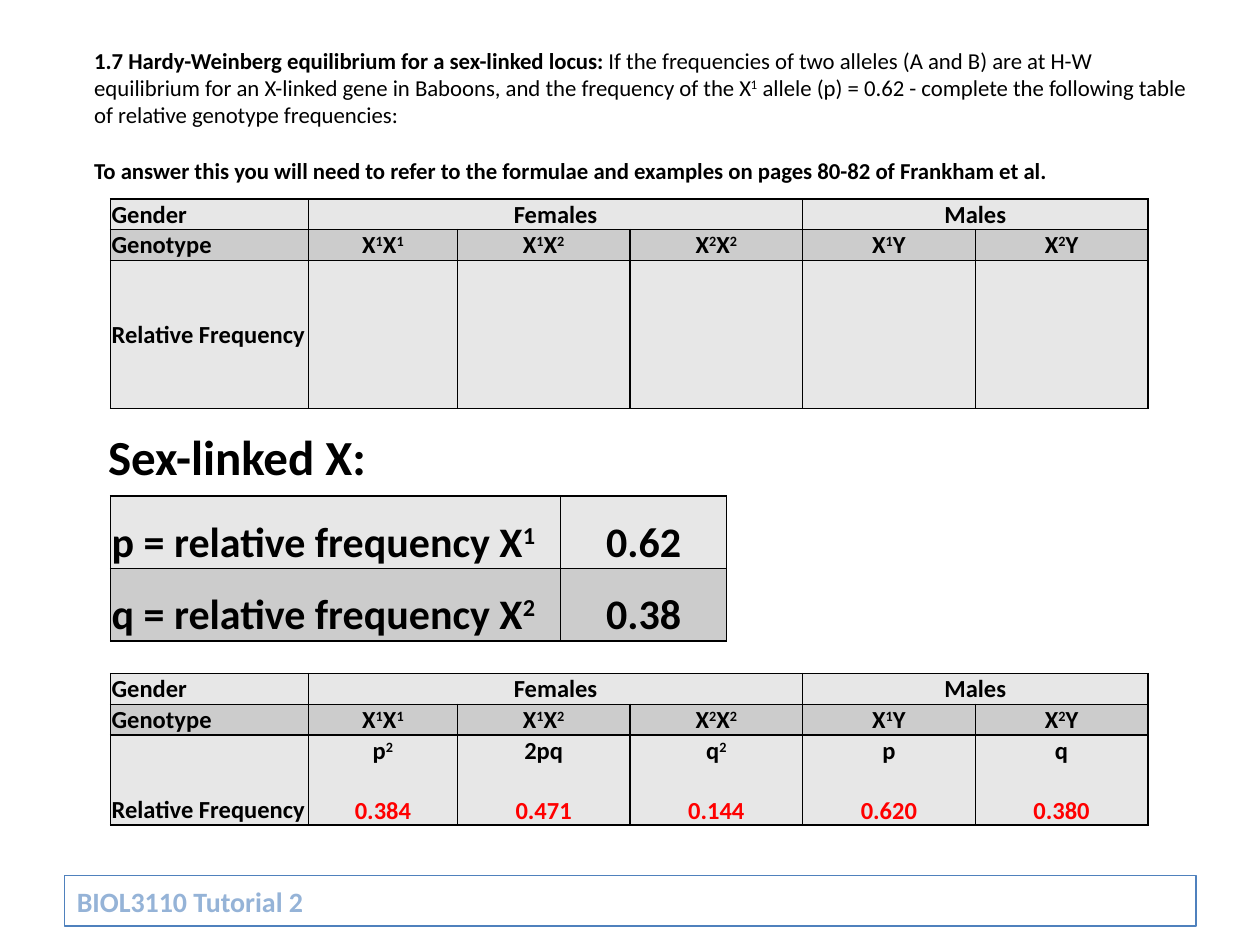
from lxml import etree
from pptx import Presentation
from pptx.dml.color import RGBColor
from pptx.enum.shapes import MSO_SHAPE
from pptx.enum.text import MSO_ANCHOR, PP_ALIGN
from pptx.oxml.ns import qn
from pptx.util import Cm, Pt

LEFT, CENTER = PP_ALIGN.LEFT, PP_ALIGN.CENTER
MIDDLE, BOTTOM = MSO_ANCHOR.MIDDLE, MSO_ANCHOR.BOTTOM
RECTANGLE = MSO_SHAPE.RECTANGLE

BLACK = RGBColor(0x00, 0x00, 0x00)
WHITE = RGBColor(0xFF, 0xFF, 0xFF)
RED = RGBColor(0xFF, 0x00, 0x00)
BLUE = RGBColor(0x4F, 0x81, 0xBD)
PALE_BLUE = RGBColor(0x95, 0xB3, 0xD7)
BANDS = (RGBColor(0xE7, 0xE7, 0xE7), RGBColor(0xCC, 0xCC, 0xCC))
FONT = "Calibri"

# Content: "^" raises the character that follows it
QUESTION = [
    ("1.7 Hardy-Weinberg equilibrium for a sex-linked locus:", True),
    (" If the frequencies of two alleles (A and B) are at H-W equilibrium for an "
     "X-linked gene in Baboons, and the frequency of the X^1 allele (p) = 0.62 - "
     "complete the following table of relative genotype frequencies:", False),
]
HINT = ("To answer this you will need to refer to the formulae and examples "
        "on pages 80-82 of Frankham et al.")
HEADING = "Sex-linked X:"
FOOTER = "BIOL3110 Tutorial 2"

HEADER_ROWS = [
    ["Gender", "Females", "", "", "Males", ""],
    ["Genotype", "X^1X^1", "X^1X^2", "X^2X^2", "X^1Y", "X^2Y"],
]
HEADER_SPANS = [(1, 3), (4, 5)]
FREQUENCY = "Relative Frequency"
FORMULAE = ["p^2", "2pq", "q^2", "p", "q"]
RESULTS = ["0.384", "0.471", "0.144", "0.620", "0.380"]
ALLELES = [
    ["p = relative frequency X^1", "0.62"],
    ["q = relative frequency X^2", "0.38"],
]

# Layout in centimetres
TABLE_LEFT = 2.23
GENOTYPE_COLUMNS = [3.99, 3.0] + [3.48] * 4
HEADER_HEIGHT = 0.62


def write(paragraph, text, size, color=BLACK, bold=True):
    for i, part in enumerate(text.split("^")):
        pieces = [(part, False)] if i == 0 else [(part[0], True), (part[1:], False)]
        for piece, raised in pieces:
            if not piece:
                continue
            run = paragraph.add_run()
            run.text = piece
            run.font.name, run.font.size, run.font.bold = FONT, Pt(size), bold
            run.font.color.rgb = color
            if raised:
                run._r.get_or_add_rPr().set("baseline", "30000")


def add_text_box(slide, left, top, width, height):
    box = slide.shapes.add_textbox(Cm(left), Cm(top), Cm(width), Cm(height))
    box.text_frame.word_wrap = True
    return box.text_frame


def style_cell(cell, fill, anchor):
    cell.margin_left = cell.margin_right = cell.margin_top = Cm(0.02)
    cell.margin_bottom = 0
    cell.vertical_anchor = anchor
    properties = cell._tc.get_or_add_tcPr()
    for side in ("a:lnL", "a:lnR", "a:lnT", "a:lnB"):
        line = etree.SubElement(properties, qn(side), w=str(Pt(1)))
        solid = etree.SubElement(line, qn("a:solidFill"))
        etree.SubElement(solid, qn("a:srgbClr"), val=str(BLACK))
    cell.fill.solid()
    cell.fill.fore_color.rgb = fill


def add_table(slide, top, columns, heights, rows, size, last_anchor=BOTTOM):
    frame = slide.shapes.add_table(len(rows), len(columns), Cm(TABLE_LEFT), Cm(top),
                                   Cm(sum(columns)), Cm(sum(heights)))
    table = frame.table
    for column, width in zip(table.columns, columns):
        column.width = Cm(width)
    for r, texts in enumerate(rows):
        table.rows[r].height = Cm(heights[r])
        anchor = last_anchor if r == len(rows) - 1 else BOTTOM
        for c, text in enumerate(texts):
            cell = table.cell(r, c)
            style_cell(cell, BANDS[r % 2], anchor)
            paragraph = cell.text_frame.paragraphs[0]
            paragraph.alignment = CENTER if c else LEFT
            paragraph.font.size = Pt(size)
            write(paragraph, text, size)
    return table


def add_genotype_table(slide, top, frequency_height, frequencies, anchor=BOTTOM):
    table = add_table(slide, top, GENOTYPE_COLUMNS,
                      [HEADER_HEIGHT, HEADER_HEIGHT, frequency_height],
                      HEADER_ROWS + [[FREQUENCY] + frequencies], 14, anchor)
    for first, last in HEADER_SPANS:
        table.cell(0, first).merge(table.cell(0, last))
    return table


def main():
    prs = Presentation()
    prs.slide_width, prs.slide_height = Cm(25.4), Cm(19.05)
    slide = prs.slides.add_slide(prs.slide_layouts[6])

    # Footer bar
    bar = slide.shapes.add_shape(RECTANGLE, Cm(1.3), Cm(17.65), Cm(22.81), Cm(1.02))
    bar.shadow.inherit = False
    bar.fill.solid()
    bar.fill.fore_color.rgb = WHITE
    bar.line.color.rgb = BLUE
    bar.line.width = Pt(0.75)
    bar.text_frame.vertical_anchor = MIDDLE
    footer = bar.text_frame.paragraphs[0]
    footer.alignment = LEFT
    write(footer, FOOTER, 16, PALE_BLUE)

    # Question and hint
    frame = add_text_box(slide, 1.65, 0.81, 22.81, 3.2)
    for text, bold in QUESTION:
        write(frame.paragraphs[0], text, 13, bold=bold)
    hint = frame.add_paragraph()
    hint.space_before = Pt(16)
    write(hint, HINT, 13)

    # Table to complete
    add_genotype_table(slide, 4.01, 2.98, [""] * len(FORMULAE), MIDDLE)

    # Allele frequencies
    heading = add_text_box(slide, 1.93, 8.61, 22.5, 1.3).paragraphs[0]
    heading.line_spacing = 0.9
    write(heading, HEADING, 28)
    add_table(slide, 10.0, [9.07, 3.35], [1.46, 1.46], ALLELES, 24)

    # Completed table
    answers = add_genotype_table(slide, 13.58, 1.8, FORMULAE)
    for c, result in enumerate(RESULTS, start=1):
        paragraph = answers.cell(2, c).text_frame.add_paragraph()
        paragraph.alignment = CENTER
        paragraph.space_before = Pt(17)
        write(paragraph, result, 14, RED)

    prs.save("out.pptx")


if __name__ == "__main__":
    main()
